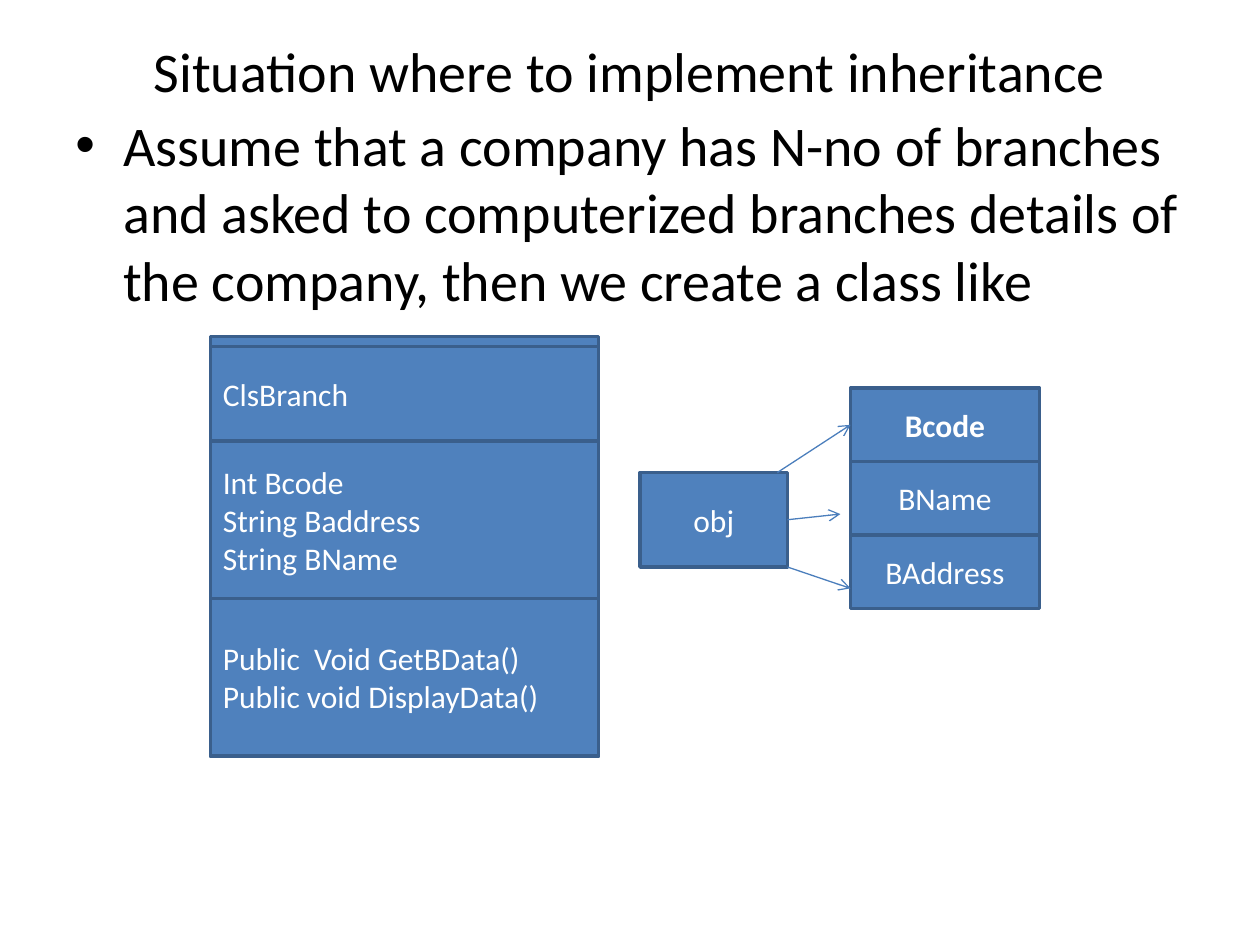
import pptx
import pptx.util
import pptx.dml.color
import pptx.enum.shapes
import pptx.enum.text
import pptx.oxml
import pptx.oxml.ns
import lxml.etree

Inches = pptx.util.Inches
Pt = pptx.util.Pt
ALIGN = pptx.enum.text.PP_ALIGN
ANCHOR = pptx.enum.text.MSO_ANCHOR
COLORS = {"ink": "000000", "fill": "4F81BD", "edge": "3A5F8C",
          "arrow": "4B7EBC", "light": "FFFFFF"}
LEFT, CENTER = ALIGN.LEFT, ALIGN.CENTER


def tint(name):
    return pptx.dml.color.RGBColor.from_string(COLORS[name])


def add_tag(parent, tag, **attrs):
    return lxml.etree.SubElement(parent, pptx.oxml.ns.qn(tag), attrs)


class Deck:
    """Holds the style and the current slide."""
    face = "Calibri"

    def __init__(self, wide, high):
        self.show = pptx.Presentation()
        self.show.slide_width = Inches(wide)
        self.show.slide_height = Inches(high)
        self.slide = self.show.slides.add_slide(self.show.slide_layouts[6])

    def fill_text(self, frame, lines, size, color, align, bold=False, bullet=False):
        frame.word_wrap = True
        for i, line in enumerate(lines):
            para = frame.paragraphs[0] if i == 0 else frame.add_paragraph()
            para.text = line
            para.alignment = align
            if bullet:
                props = para._p.get_or_add_pPr()
                props.set("marL", str(Inches(0.38)))
                props.set("indent", str(Inches(-0.38)))
                add_tag(props, "a:buFont", typeface="Arial")
                add_tag(props, "a:buChar", char="•")
            font = para.font
            font.name, font.size, font.bold = self.face, Pt(size), bold
            font.color.rgb = tint(color)

    def text(self, x, y, w, h, line, align=LEFT, anchor=ANCHOR.TOP, bullet=False):
        box = self.slide.shapes.add_textbox(*map(Inches, (x, y, w, h)))
        box.text_frame.vertical_anchor = anchor
        self.fill_text(box.text_frame, [line], 32, "ink", align, bullet=bullet)

    def box(self, x, y, w, h, lines=(), align=CENTER, bold=False):
        rect = self.slide.shapes.add_shape(
            pptx.enum.shapes.MSO_SHAPE.RECTANGLE, *map(Inches, (x, y, w, h)))
        rect.shadow.inherit = False
        rect.fill.solid()
        rect.fill.fore_color.rgb = tint("fill")
        rect.line.color.rgb = tint("edge")
        rect.line.width = Pt(2)
        rect.text_frame.vertical_anchor = ANCHOR.MIDDLE
        self.fill_text(rect.text_frame, lines, 18, "light", align, bold)
        return rect

    def arrow(self, start, end, source=None, target=None):
        """Draw an arrow; source joins by its right side, target by its left."""
        link = self.slide.shapes.add_connector(
            pptx.enum.shapes.MSO_CONNECTOR.STRAIGHT, *map(Inches, start + end))
        if source:
            link.begin_connect(source, 3)
        if target:
            link.end_connect(target, 1)
        link.line.color.rgb = tint("arrow")
        link.line.width = Pt(0.75)
        add_tag(link.line._get_or_add_ln(), "a:tailEnd", type="arrow")
        add_tag(link._element.spPr, "a:effectLst")


def main():
    deck = Deck(10, 7.5)
    deck.text(0.5, 0.25, 9, 0.62, "Situation where to implement inheritance",
              CENTER, ANCHOR.MIDDLE)
    deck.text(0.5, 0.83, 9, 5.87,
              "Assume that a company has N-no of branches and asked to computerized "
              "branches details of the company, then we create a class like",
              bullet=True)

    left, wide = 1.67, 3.08
    deck.box(left, 2.67, wide, 3.33)
    top = 2.75
    for high, lines in (
            (0.75, ["ClsBranch"]),
            (1.25, ["Int Bcode", "String Baddress", "String BName"]),
            (1.25, ["Public  Void GetBData()", "Public void DisplayData()"])):
        deck.box(left, top, wide, high, lines, LEFT)
        top += high

    obj = deck.box(5.08, 3.75, 1.17, 0.75, ["obj"])
    step = 1.75 / 3
    fields = [deck.box(6.75, 3.08 + i * step, 1.5, step, [name], bold=i == 0)
              for i, name in enumerate(("Bcode", "BName", "BAddress"))]

    deck.arrow((6.17, 3.75), (6.75, 3.38), target=fields[0])
    deck.arrow((6.25, 4.12), (6.67, 4.08), source=obj)
    deck.arrow((6.25, 4.5), (6.75, 4.67))
    deck.show.save("out.pptx")


if __name__ == "__main__":
    main()
